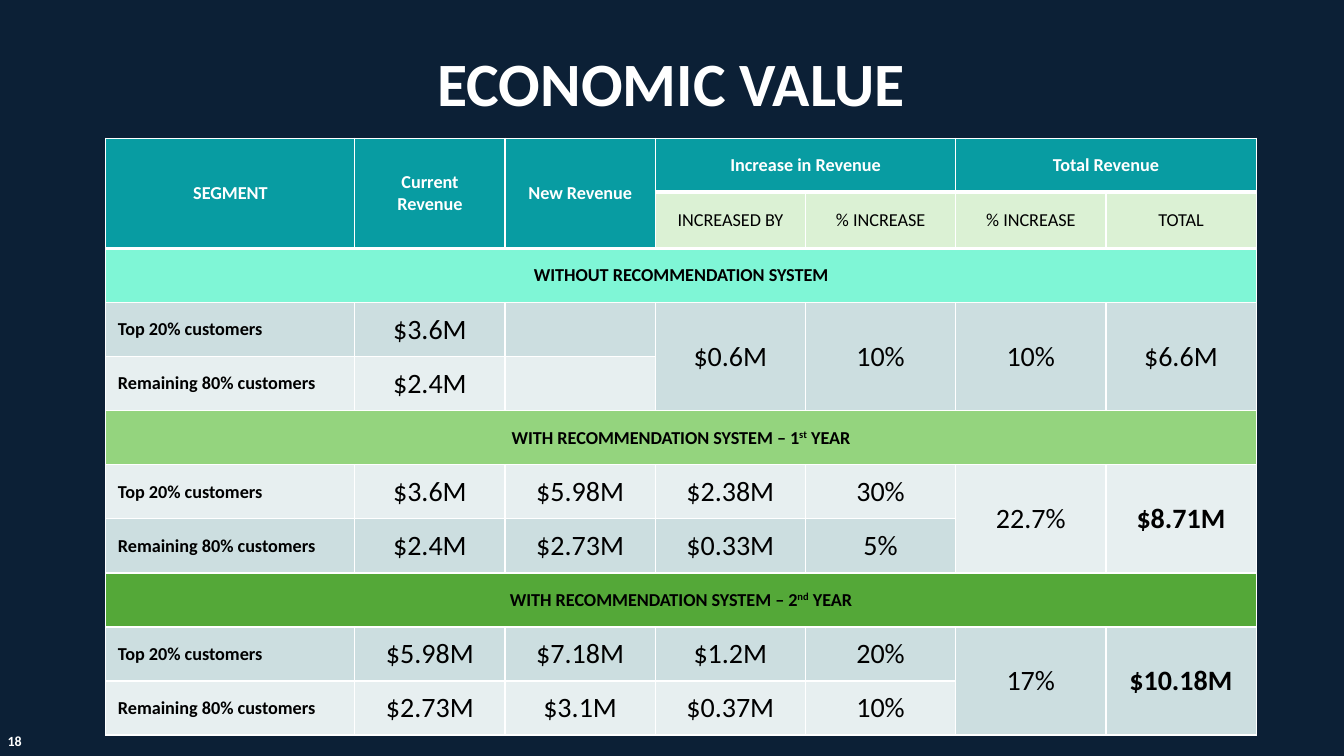
from lxml import etree
from pptx import Presentation
from pptx import util as u
from pptx.dml.color import RGBColor
from pptx.enum import text
from pptx.oxml.ns import qn

PX = 9144
FONT = "Calibri"
NAVY = RGBColor(0x0C, 0x20, 0x36)
WHITE = RGBColor(0xFF, 0xFF, 0xFF)
BLACK = RGBColor(0x00, 0x00, 0x00)
TEAL = RGBColor(0x08, 0x9C, 0xA2)
PALE_GREEN = RGBColor(0xDB, 0xF1, 0xD4)
DARK_BAND = RGBColor(0xCC, 0xDE, 0xE0)
LIGHT_BAND = RGBColor(0xE7, 0xEF, 0xF0)
SECTION_FILLS = {
    2: RGBColor(0x7F, 0xF6, 0xD6),
    5: RGBColor(0x94, 0xD4, 0x7E),
    8: RGBColor(0x54, 0xA8, 0x38),
}
LEFT, UP = "<", "^"
TOP, REST = "Top 20% customers", "Remaining 80% customers"
ROWS = [
    ["SEGMENT", "Current Revenue", "New Revenue", "Increase in Revenue", LEFT, "Total Revenue", LEFT],
    [UP, UP, UP, "INCREASED BY", "% INCREASE", "% INCREASE", "TOTAL"],
    ["WITHOUT RECOMMENDATION SYSTEM"] + [LEFT] * 6,
    [TOP, "$3.6M", "", "$0.6M", "10%", "10%", "$6.6M"],
    [REST, "$2.4M", "", UP, UP, UP, UP],
    [("WITH RECOMMENDATION SYSTEM – 1", "st", " YEAR")] + [LEFT] * 6,
    [TOP, "$3.6M", "$5.98M", "$2.38M", "30%", "22.7%", "$8.71M"],
    [REST, "$2.4M", "$2.73M", "$0.33M", "5%", UP, UP],
    [("WITH RECOMMENDATION SYSTEM – 2", "nd", " YEAR")] + [LEFT] * 6,
    [TOP, "$5.98M", "$7.18M", "$1.2M", "20%", "17%", "$10.18M"],
    [REST, "$2.73M", "$3.1M", "$0.37M", "10%", UP, UP],
]
BOLD_TOTALS = ("$8.71M", "$10.18M")


def px(length):
    """Turn px into EMU."""
    return u.Emu(length * PX)


def set_font(font, size, color, bold):
    """Apply the slide's typeface with the given look."""
    font.name, font.size, font.bold = FONT, u.Pt(size), bold
    font.color.rgb = color


def add_label(page, box, words, size):
    """Place one centred white line of text in a box."""
    frame = page.shapes.add_textbox(*map(px, box)).text_frame
    frame.word_wrap = True
    frame.vertical_anchor = text.MSO_ANCHOR.MIDDLE
    frame.text = words
    para = frame.paragraphs[0]
    para.alignment = text.PP_ALIGN.CENTER
    para.line_spacing = 0.9
    set_font(para.runs[0].font, size, WHITE, True)


def set_borders(cell, row):
    """Draw white cell borders, thick around the two header rows."""
    widths = {"L": 1, "R": 1, "T": 3 if row in (1, 2) else 1, "B": 3 if row < 2 else 1}
    props = cell._tc.get_or_add_tcPr()
    for side, width in widths.items():
        line = etree.SubElement(props, qn(f"a:ln{side}"), w=str(u.Pt(width)))
        fill = etree.SubElement(line, qn("a:solidFill"))
        etree.SubElement(fill, qn("a:srgbClr"), val=str(WHITE))


def cell_fill(row, column):
    """Choose the fill for a place in the table."""
    if row == 0 or (row == 1 and column < 3):
        return TEAL
    if row == 1:
        return PALE_GREEN
    return SECTION_FILLS.get(row, DARK_BAND if row % 2 else LIGHT_BAND)


def write_cell(cell, row, column, content):
    """Fill a cell with its words, raising the ordinal suffix of a section."""
    para = cell.text_frame.paragraphs[0]
    is_value = row > 2 and column > 0
    is_label = row > 2 and column == 0 and row not in SECTION_FILLS
    bold = row != 1 and (not is_value or content in BOLD_TOTALS)
    para.alignment = text.PP_ALIGN.LEFT if is_label else text.PP_ALIGN.CENTER
    parts = content if isinstance(content, tuple) else (content,)
    for index, words in enumerate(parts):
        if not words:
            continue
        span = para.add_run()
        span.text = words
        set_font(span.font, 20 if is_value else 13, BLACK if row else WHITE, bold)
        if index == 1:
            span._r.get_or_add_rPr().set("baseline", "30000")


def add_revenue_table(page, box):
    """Build the revenue table with its merged headers and sections."""
    left, top, width, height = box
    count = len(ROWS[0])
    table = page.shapes.add_table(len(ROWS), count, *map(px, box)).table
    value_width = 149
    for column in range(count):
        table.columns[column].width = px(value_width if column else width - value_width * (count - 1))
    for line in table.rows:
        line.height = px(height) // len(ROWS)
    for row, contents in enumerate(ROWS):
        for column, content in enumerate(contents):
            cell = table.cell(row, column)
            set_borders(cell, row)
            cell.fill.solid()
            cell.fill.fore_color.rgb = cell_fill(row, column)
            cell.vertical_anchor = text.MSO_ANCHOR.MIDDLE
            cell.margin_left = cell.margin_right = px(12)
            cell.margin_top = cell.margin_bottom = px(6)
            if content not in (LEFT, UP):
                write_cell(cell, row, column, content)
    for row, contents in enumerate(ROWS):
        for column, content in enumerate(contents):
            if content in (LEFT, UP):
                continue
            last_row, last_column = row, column
            while last_column + 1 < count and contents[last_column + 1] == LEFT:
                last_column += 1
            while last_row + 1 < len(ROWS) and ROWS[last_row + 1][column] == UP:
                last_row += 1
            if (last_row, last_column) != (row, column):
                table.cell(row, column).merge(table.cell(last_row, last_column))


def main():
    """Build the economic value slide."""
    deck = Presentation()
    deck.slide_width, deck.slide_height = u.Inches(13.33), u.Inches(7.5)
    page = deck.slides.add_slide(deck.slide_layouts[6])
    page.background.fill.solid()
    page.background.fill.fore_color.rgb = NAVY
    add_revenue_table(page, (105, 137, 1141, 590))
    add_label(page, (56, 50, 1220, 72), "ECONOMIC VALUE", 44)
    add_label(page, (-6, 723, 41, 27), "18", 10)
    deck.save("out.pptx")


if __name__ == "__main__":
    main()
